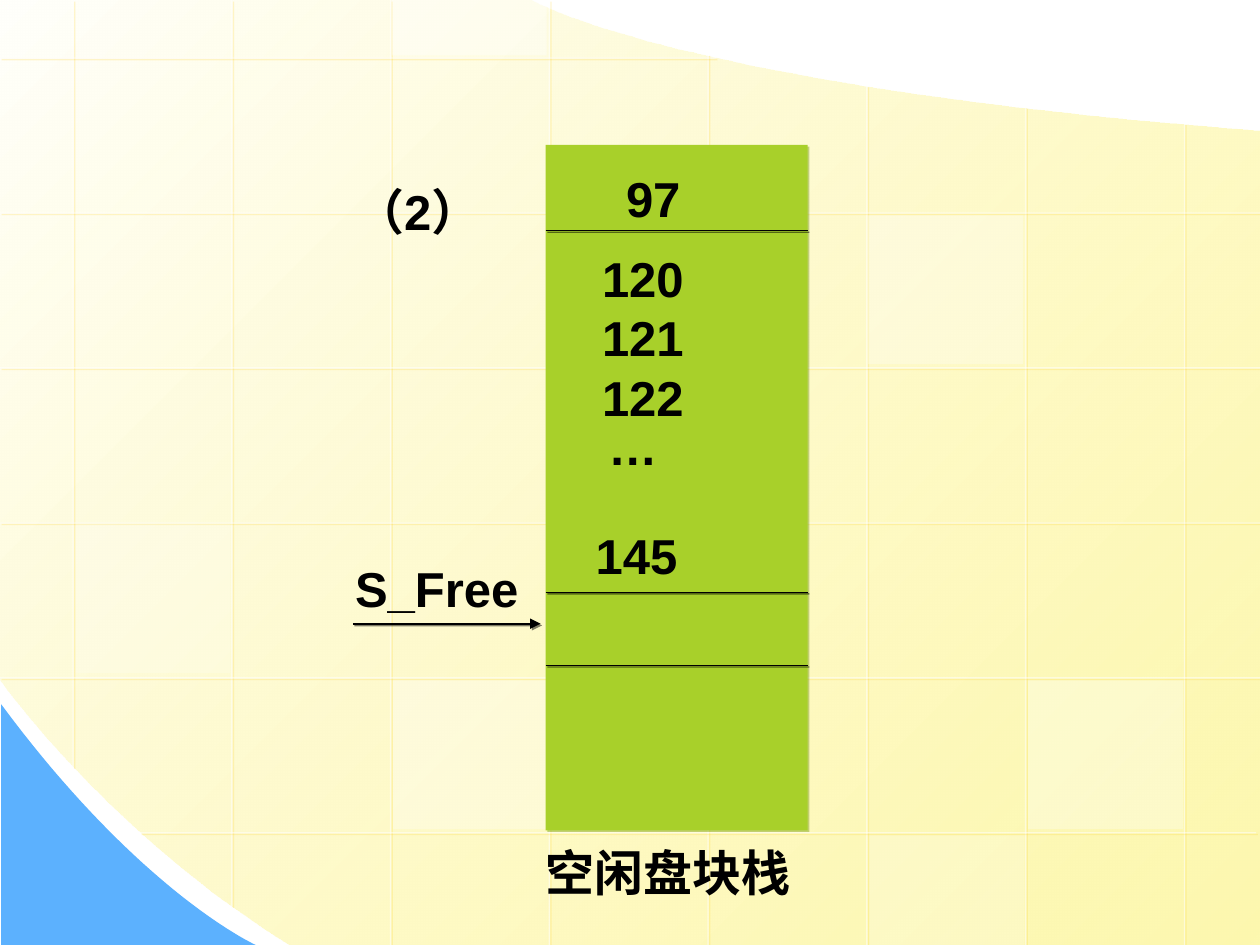
from typing import NamedTuple

from lxml import etree
from pptx import Presentation
from pptx.dml.color import RGBColor
from pptx.enum.shapes import MSO_CONNECTOR, MSO_SHAPE
from pptx.oxml.ns import nsdecls, qn
from pptx.oxml import parse_xml
from pptx.util import Inches, Pt

STRAIGHT = MSO_CONNECTOR.STRAIGHT
RECTANGLE = MSO_SHAPE.RECTANGLE
BLANK_LAYOUT = 6
FONT = "Arial"
BLACK = "000000"
WHITE = "FFFFFF"


class Shadow(NamedTuple):
    color: str
    opacity: int


class Tile(NamedTuple):
    left: float
    top: float
    height: float
    opacity: int


class Label(NamedTuple):
    text: str
    left: float
    top: float
    width: float


INK_SHADOW = Shadow(BLACK, 50)
GRID_SHADOW = Shadow("FFCC00", 34)
TEXT_SHADOW = Shadow("C0504D", 50)

GRID_LEFT, GRID_TOP = 0.58, 0.46
COLUMN_STEP, ROW_STEP = 1.26, 1.23
COLUMN_SPANS = [(0, 6.09), (0, 7.19), (0, 7.5), (0, 7.5),
                (0.43, 7.5), (0.68, 7.5), (0.85, 7.5), (0.98, 7.5)]
ROW_SPANS = [(0, 5.68)] + [(0, 10)] * 4 + [(1.11, 9.97)]

TILES = [
    Tile(8.16, 5.4, 1.18, 30),
    Tile(0.6, 4.16, 1.18, 20),
    Tile(6.9, 6.63, 0.87, 20),
    Tile(3.11, 0, 0.44, 40),
    Tile(3.12, 5.4, 1.18, 30),
    Tile(6.89, 1.71, 1.18, 30),
]

STACK_LEFT, STACK_RIGHT = 4.33, 6.41
STACK_TOP, STACK_HEIGHT = 1.15, 5.44
DIVIDERS = [1.83, 4.7, 5.28]
LABELS = [
    Label("（2）", 2.72, 1.39, 1.49),
    Label("97", 4.87, 1.29, 1.55),
    Label("120", 4.68, 1.92, 1.66),
    Label("121", 4.68, 2.39, 1.66),
    Label("122", 4.68, 2.87, 1.66),
    Label("…", 4.73, 3.26, 1.29),
    Label("145", 4.63, 4.12, 1.66),
    Label("S_Free", 2.72, 4.38, 1.81),
    Label("空闲盘块栈", 4.23, 6.64, 2.42),
]


def rgb(color: str) -> RGBColor:
    """Turn a hex string into a colour."""
    return RGBColor.from_string(color)


def set_opacity(fill_owner, percent: int) -> None:
    """Make the first solid colour under an element partly transparent."""
    color = next(fill_owner.iter(qn("a:srgbClr")))
    etree.SubElement(color, qn("a:alpha"), val=str(percent * 1000))


def add_shadow(properties, shadow: Shadow) -> None:
    """Append a short diagonal shadow to shape or run properties."""
    properties.append(parse_xml(
        f'<a:effectLst {nsdecls("a")}>'
        f'<a:outerShdw dist="{Pt(1.4)}" dir="2700000" algn="ctr" rotWithShape="0">'
        f'<a:srgbClr val="{shadow.color}"><a:alpha val="{shadow.opacity * 1000}"/>'
        '</a:srgbClr></a:outerShdw></a:effectLst>'))


def curve(start, first, second, end, steps: int = 40) -> list:
    """List the points after the start of a cubic curve."""
    def at(t: float) -> tuple:
        weights = ((1 - t) ** 3, 3 * t * (1 - t) ** 2, 3 * t * t * (1 - t), t ** 3)
        corners = (start, first, second, end)
        return tuple(sum(w * c[axis] for w, c in zip(weights, corners)) for axis in (0, 1))
    return [at(step / steps) for step in range(1, steps + 1)]


def add_outline(slide, points: list, color: str):
    """Draw a filled closed outline without a line."""
    corners = [(Inches(x), Inches(y)) for x, y in points]
    builder = slide.shapes.build_freeform(*corners[0], scale=1.0)
    builder.add_line_segments(corners[1:], close=True)
    outline = builder.convert_to_shape()
    outline.shadow.inherit = False
    outline.fill.solid()
    outline.fill.fore_color.rgb = rgb(color)
    outline.line.fill.background()
    return outline


def add_rectangle(slide, left: float, top: float, width: float, height: float, color: str):
    """Draw a filled rectangle without a line."""
    rectangle = slide.shapes.add_shape(
        RECTANGLE, Inches(left), Inches(top), Inches(width), Inches(height))
    rectangle.fill.solid()
    rectangle.fill.fore_color.rgb = rgb(color)
    rectangle.line.fill.background()
    return rectangle


def add_line(slide, start: tuple, end: tuple, color: str, shadow: Shadow, weight: float = 0.75):
    """Draw a straight line with a shadow."""
    line = slide.shapes.add_connector(STRAIGHT, *map(Inches, start + end))
    line.line.color.rgb = rgb(color)
    line.line.width = Pt(weight)
    add_shadow(line.element.spPr, shadow)
    return line


def add_label(slide, label: Label) -> None:
    """Write one bold shadowed label."""
    box = slide.shapes.add_textbox(
        Inches(label.left), Inches(label.top), Inches(label.width), Inches(0.57))
    box.text_frame.word_wrap = True
    run = box.text_frame.paragraphs[0].add_run()
    run.text = label.text
    run.font.size = Pt(28)
    run.font.bold = True
    run.font.color.rgb = rgb(BLACK)
    add_shadow(run.font._element, TEXT_SHADOW)
    run.font.name = FONT


def draw_background(slide) -> None:
    """Draw the yellow sheet, blue corner, grid and pale tiles."""
    left_edge, bottom_edge = (0, 5.39), (2.3, 7.5)
    top_edge, right_edge = (4.21, 0), (10, 1.04)
    sheet_points = [right_edge, (10, 7.5), bottom_edge,
                    *curve(bottom_edge, (0.86, 6.61), (0, 5.39), left_edge),
                    (0, 0), top_edge,
                    *curve(top_edge, top_edge, (5.37, 0.69), right_edge)]
    sheet = add_outline(slide, sheet_points, WHITE)
    sheet.fill.gradient()
    sheet.fill.gradient_angle = 315
    for stop, color in zip(sheet.fill.gradient_stops, ("FFFFFB", "FDF58D")):
        stop.color.rgb = rgb(color)
    end_stop = list(sheet.element.iter(qn("a:gs")))[-1]
    set_opacity(end_stop, 70)

    corner_top, corner_end = (0.01, 5.59), (2.03, 7.5)
    add_outline(slide, [corner_top, (0.01, 7.5), corner_end,
                        *curve(corner_end, corner_end, (1.12, 7.09), corner_top)], "5CB1FE")

    columns = [((GRID_LEFT + i * COLUMN_STEP, top), (GRID_LEFT + i * COLUMN_STEP, bottom))
               for i, (top, bottom) in enumerate(COLUMN_SPANS)]
    rows = [((left, GRID_TOP + i * ROW_STEP), (right, GRID_TOP + i * ROW_STEP))
            for i, (left, right) in enumerate(ROW_SPANS)]
    for start, end in columns + rows:
        grid_line = add_line(slide, start, end, WHITE, GRID_SHADOW)
        set_opacity(grid_line.element.spPr, 50)

    for tile in TILES:
        pane = add_rectangle(slide, tile.left, tile.top, 1.23, tile.height, WHITE)
        pane.shadow.inherit = False
        set_opacity(pane.element.spPr, tile.opacity)


def draw_stack(slide) -> None:
    """Draw the free block stack with its pointer and labels."""
    stack = add_rectangle(
        slide, STACK_LEFT, STACK_TOP, STACK_RIGHT - STACK_LEFT, STACK_HEIGHT, "A8D02A")
    add_shadow(stack.element.spPr, Shadow("87A722", 50))
    for y in DIVIDERS:
        add_line(slide, (STACK_LEFT, y), (STACK_RIGHT, y), BLACK, INK_SHADOW)
    pointer = add_line(slide, (2.8, 4.95), (4.29, 4.95), BLACK, INK_SHADOW, 1)
    etree.SubElement(pointer.line._get_or_add_ln(), qn("a:tailEnd"), type="triangle")
    for label in LABELS:
        add_label(slide, label)


def main() -> None:
    """Build the slide and save it."""
    presentation = Presentation()
    presentation.slide_width = Inches(10)
    presentation.slide_height = Inches(7.5)
    slide = presentation.slides.add_slide(presentation.slide_layouts[BLANK_LAYOUT])
    draw_background(slide)
    draw_stack(slide)
    presentation.save("out.pptx")


if __name__ == "__main__":
    main()
